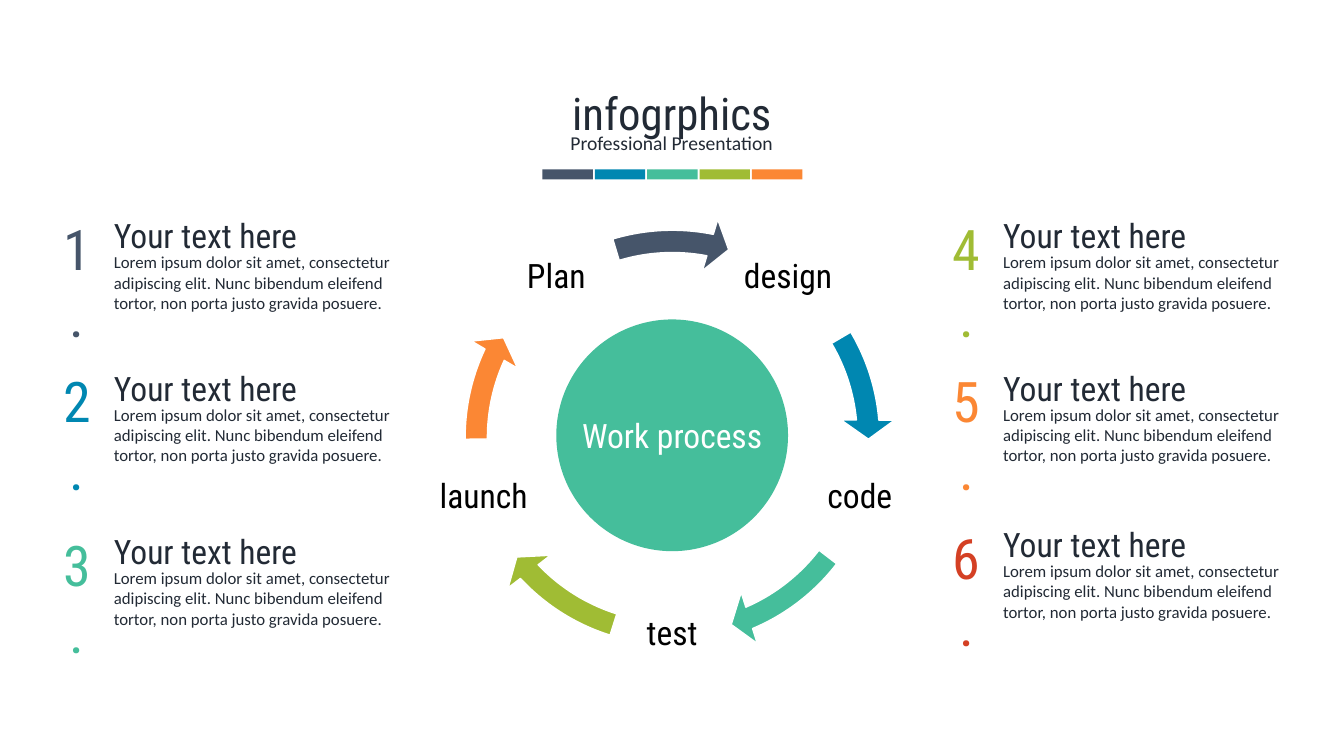
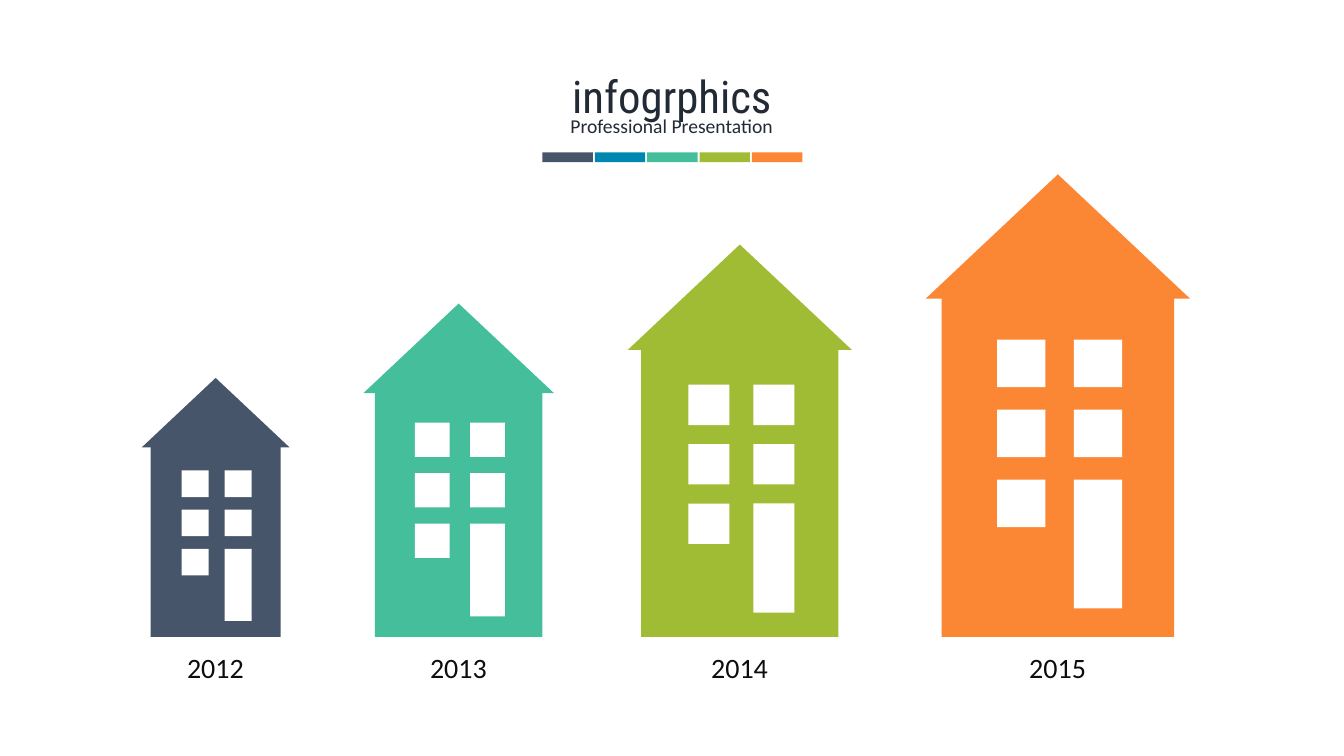
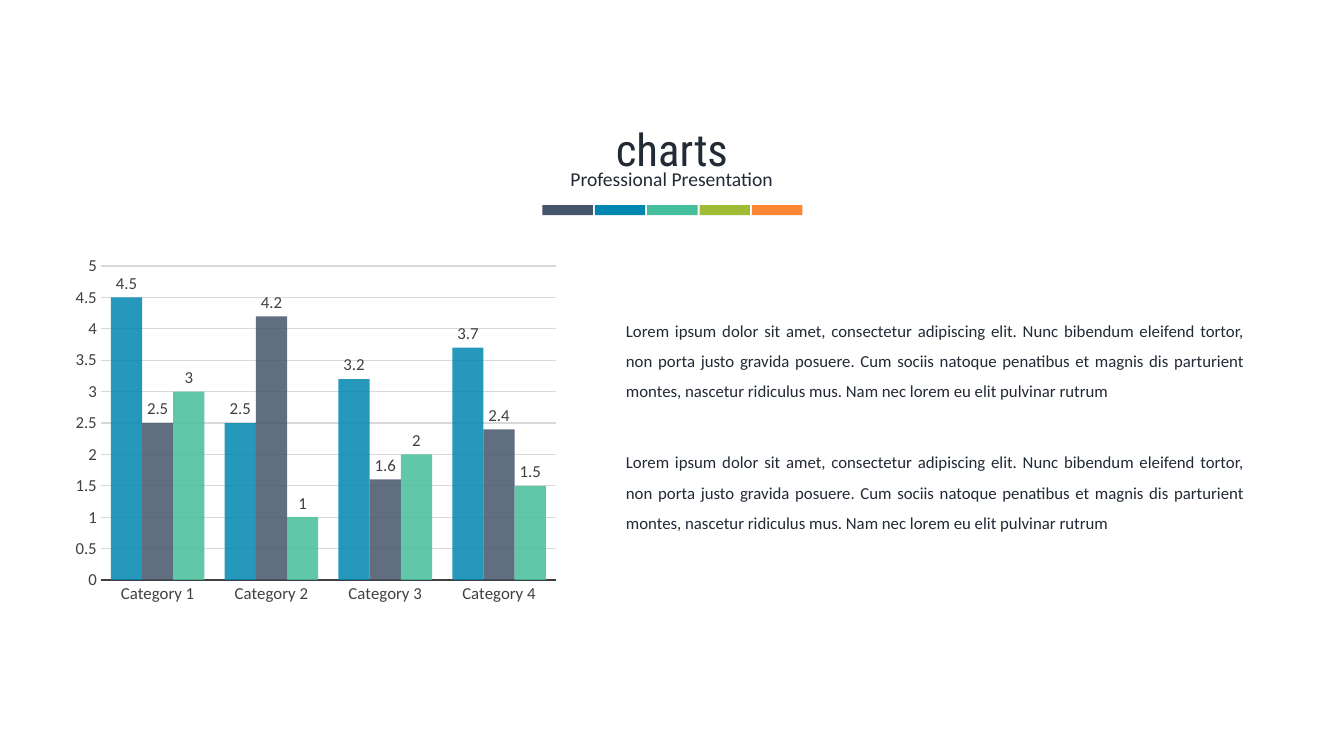
from lxml import etree
from pptx import Presentation
from pptx.chart.data import CategoryChartData
from pptx.dml.color import RGBColor
from pptx.enum import chart as charts, shapes, text
from pptx.oxml.ns import qn
from pptx.util import Cm, Pt

SLATE = RGBColor(0x46, 0x55, 0x6A)
BLUE = RGBColor(0x00, 0x87, 0xB1)
TEAL = RGBColor(0x45, 0xBE, 0x9B)
GREEN = RGBColor(0xA0, 0xBC, 0x34)
ORANGE = RGBColor(0xFB, 0x87, 0x34)
RED = RGBColor(0xD4, 0x40, 0x24)
INK = RGBColor(0x22, 0x2A, 0x35)
BLACK = RGBColor(0, 0, 0)
YEAR_INK = RGBColor(0x0D, 0x0D, 0x0D)
WHITE = RGBColor(0xFF, 0xFF, 0xFF)
AXIS_GREY = RGBColor(0x40, 0x40, 0x40)
GRID_GREY = RGBColor(0xD9, 0xD9, 0xD9)
PALETTE = (SLATE, BLUE, TEAL, GREEN, ORANGE)

HEADING_FONT = "Roboto Condensed"
BODY_FONT = "Calibri"
LEFT, CENTER, JUSTIFY = text.PP_ALIGN.LEFT, text.PP_ALIGN.CENTER, text.PP_ALIGN.JUSTIFY
TOP, MIDDLE = text.MSO_ANCHOR.TOP, text.MSO_ANCHOR.MIDDLE
SHAPE = shapes.MSO_SHAPE

TITLE_ONLY, TITLE_AND_BODY = 5, 1
SLIDE_WIDTH, SLIDE_HEIGHT = 33.87, 19.05

SHORT_LOREM = ("Lorem ipsum dolor sit amet, consectetur adipiscing elit. Nunc bibendum "
               "eleifend tortor, non porta justo gravida posuere.")
LONG_LOREM = SHORT_LOREM + (" Cum sociis natoque penatibus et magnis dis parturient montes, "
                            "nascetur ridiculus mus. Nam nec lorem eu elit pulvinar rutrum")


def write(frame, content, size=12, font=BODY_FONT, color=INK, align=LEFT, anchor=TOP,
          spacing=1.0, gap=0, inset=None, wrap=True, grow=False, plain=False):
    frame.text = content
    frame.word_wrap = wrap
    frame.vertical_anchor = anchor
    frame.auto_size = (text.MSO_AUTO_SIZE.SHAPE_TO_FIT_TEXT if grow
                       else text.MSO_AUTO_SIZE.NONE)
    if inset is not None:
        frame.margin_left = frame.margin_right = Cm(inset)
        frame.margin_top = frame.margin_bottom = Cm(inset)
    for index, paragraph in enumerate(frame.paragraphs):
        if plain:
            properties = paragraph._p.get_or_add_pPr()
            properties.set("marL", "0")
            properties.set("indent", "0")
            etree.SubElement(properties, qn("a:buNone"))
        paragraph.alignment = align
        paragraph.line_spacing = spacing
        paragraph.space_before = Pt(gap if index else 0)
        for run in paragraph.runs:
            run.font.size = Pt(size)
            run.font.name = font
            run.font.color.rgb = color


class Deck:
    def __init__(self):
        self.show = Presentation()
        self.show.slide_width = Cm(SLIDE_WIDTH)
        self.show.slide_height = Cm(SLIDE_HEIGHT)
        self.slide = None

    def start(self, title, top, layout=TITLE_ONLY):
        self.slide = self.show.slides.add_slide(self.show.slide_layouts[layout])
        self.fill_placeholder(self.slide.shapes.title, title, (0, top, SLIDE_WIDTH, 1.63),
                              size=32, font=HEADING_FONT, align=CENTER)
        self.label("Professional Presentation", (1.73, top + 1.15, 30.4, 0.86),
                   size=14, align=CENTER)
        for index, color in enumerate(PALETTE):
            self.shape(SHAPE.RECTANGLE, (13.67 + 1.32 * index, top + 2.24, 1.27, 0.25), color)

    def fill_placeholder(self, holder, content, box, **style):
        holder.left, holder.top, holder.width, holder.height = map(Cm, box)
        write(holder.text_frame, content, **style)

    def body(self, content, box, **style):
        self.fill_placeholder(self.slide.placeholders[1], content, box, plain=True, **style)

    def label(self, content, box, **style):
        frame = self.slide.shapes.add_textbox(*map(Cm, box)).text_frame
        write(frame, content, grow=style.get("anchor", TOP) == TOP, **style)

    def shape(self, kind, box, color, outline=None):
        drawn = self.slide.shapes.add_shape(kind, *map(Cm, box))
        drawn.shadow.inherit = False
        drawn.fill.solid()
        drawn.fill.fore_color.rgb = color
        if outline is None:
            drawn.line.fill.background()
        else:
            drawn.line.color.rgb = outline
            drawn.line.width = Pt(1)
        return drawn

    def cycle_arrow(self, box, start, end, color):
        arrow = self.shape(SHAPE.CIRCULAR_ARROW, box, color, outline=WHITE)
        degree = 0.6
        values = (0.05, 5.6 * degree, end * degree, start * degree, 0.06)
        for index, value in enumerate(values):
            arrow.adjustments[index] = value

    def numbered_item(self, number, left, top, color):
        self.label(SHORT_LOREM, (left + 1.34, top + 0.95, 8.05, 1.81))
        self.label("Your text here", (left + 1.34, top + 0.02, 8.05, 1.28),
                   size=24, font=HEADING_FONT)
        self.label(f"{number}.", (left, top, 1.34, 1.96),
                   size=40, font=HEADING_FONT, color=color, align=CENTER)

    def house(self, year, left, width, color):
        ground, unit = 16.05, width / 100
        roof_top = ground - 175 * unit

        def part(kind, x, y, wide, high, fill):
            self.shape(kind, (left + x * unit, roof_top + y * unit, wide * unit, high * unit), fill)

        part(SHAPE.RECTANGLE, 6, 44.5, 88, 130.5, color)
        part(SHAPE.ISOSCELES_TRIANGLE, 0, 0, 100, 47, color)
        for row in range(3):
            for column in range(2):
                is_door = (row, column) == (2, 1)
                part(SHAPE.RECTANGLE, 27 + 29 * column, 62.5 + 26.5 * row,
                     18.3, 48.7 if is_door else 18, WHITE)
        self.label(year, (left + width / 2 - 2.62, 15.85, 5.23, 1.55),
                   size=20, color=YEAR_INK, align=CENTER, spacing=1.5)

    def column_chart(self, categories, series, box):
        data = CategoryChartData()
        data.categories = categories
        for name, values, _ in series:
            data.add_series(name, values)
        chart = self.slide.shapes.add_chart(
            charts.XL_CHART_TYPE.COLUMN_CLUSTERED, *map(Cm, box), data).chart
        chart.has_legend = chart.has_title = False
        self.chart_font(chart.font)

        plot = chart.plots[0]
        plot.gap_width = 65
        plot.overlap = 0
        plot.vary_by_categories = False
        plot.has_data_labels = True
        plot.data_labels.show_value = True
        plot.data_labels.position = charts.XL_LABEL_POSITION.OUTSIDE_END
        self.chart_font(plot.data_labels.font)
        for columns, (_, _, color) in zip(plot.series, series):
            columns.format.fill.solid()
            columns.format.fill.fore_color.rgb = color
        for tint in chart.element.xpath(".//c:ser/c:spPr//a:srgbClr"):
            etree.SubElement(tint, qn("a:alpha"), val="85000")

        for axis in (chart.category_axis, chart.value_axis):
            axis.major_tick_mark = axis.minor_tick_mark = charts.XL_TICK_MARK.NONE
            self.chart_font(axis.tick_labels.font)
        chart.category_axis.format.line.color.rgb = AXIS_GREY
        chart.category_axis.format.line.width = Pt(1.5)
        scale = chart.value_axis
        scale.minimum_scale, scale.maximum_scale, scale.major_unit = 0, 5, 0.5
        scale.format.line.fill.background()
        scale.major_gridlines.format.line.color.rgb = GRID_GREY
        scale.major_gridlines.format.line.width = Pt(0.75)
        self.place_plot(chart, x=0.055, y=0.051, w=0.78, h=0.833)

    def chart_font(self, font):
        font.size, font.name = Pt(12), BODY_FONT
        font.color.rgb = AXIS_GREY

    def place_plot(self, chart, **fractions):
        area = chart.element.xpath("c:chart/c:plotArea")[0]
        for automatic in area.findall(qn("c:layout")):
            area.remove(automatic)
        layout = etree.Element(qn("c:layout"))
        area.insert(0, layout)
        manual = etree.SubElement(layout, qn("c:manualLayout"))
        settings = {"layoutTarget": "inner", "xMode": "edge", "yMode": "edge", **fractions}
        for tag, value in settings.items():
            etree.SubElement(manual, qn(f"c:{tag}"), val=str(value))


def work_process(deck):
    deck.start("infogrphics", 2.03)
    ring = (11.33, 5.41, 11.23, 11.23)
    steps = (
        ("design", 18.36, 5.49, 329.43, 354.89, BLUE),
        ("code", 20.17, 11.05, 37.55, 66.92, TEAL),
        ("test", 15.44, 14.48, 107.49, 136.85, GREEN),
        ("launch", 10.69, 11.05, 179.51, 204.97, ORANGE),
        ("Plan", 12.52, 5.49, 253.3, 281.1, SLATE),
    )
    for step, left, top, start, end, color in steps:
        deck.label(step, (left, top, 3, 3), size=24, font=HEADING_FONT, color=BLACK,
                   align=CENTER, anchor=MIDDLE, spacing=0.9, inset=0.08)
        deck.cycle_arrow(ring, start, end, color)
    hub = deck.shape(SHAPE.OVAL, (14.02, 8.05, 5.84, 5.84), TEAL)
    write(hub.text_frame, "Work process", size=24, font=HEADING_FONT, color=WHITE,
          align=CENTER, anchor=MIDDLE, wrap=False)

    item_columns = ((1.28, (5.28, 9.12, 13.24)), (23.69, (5.28, 9.12, 13.06)))
    places = [(left, top) for left, tops in item_columns for top in tops]
    for number, ((left, top), color) in enumerate(zip(places, (*PALETTE, RED)), 1):
        deck.numbered_item(number, left, top, color)


def growing_houses(deck):
    deck.start("infogrphics", 1.6)
    houses = (
        ("2012", 3.57, 3.73, SLATE),
        ("2013", 9.16, 4.8, TEAL),
        ("2014", 15.82, 5.65, GREEN),
        ("2015", 23.33, 6.66, ORANGE),
    )
    for year, left, width, color in houses:
        deck.house(year, left, width, color)


def category_columns(deck):
    deck.start("charts", 2.93, TITLE_AND_BODY)
    series = (
        ("Series 1", (4.5, 2.5, 3.2, 3.7), BLUE),
        ("Series 2", (2.5, 4.2, 1.6, 2.4), SLATE),
        ("Series 3", (3, 1, 2, 1.5), TEAL),
    )
    categories = [f"Category {number}" for number in range(1, 5)]
    deck.column_chart(categories, series, (1.73, 6.22, 14.71, 9.5))
    deck.body(f"{LONG_LOREM}\n{LONG_LOREM}", (15.52, 7.7, 16.1, 5.92),
              align=JUSTIFY, spacing=1.5, gap=29)


def main():
    deck = Deck()
    work_process(deck)
    growing_houses(deck)
    category_columns(deck)
    deck.show.save("out.pptx")


if __name__ == "__main__":
    main()
